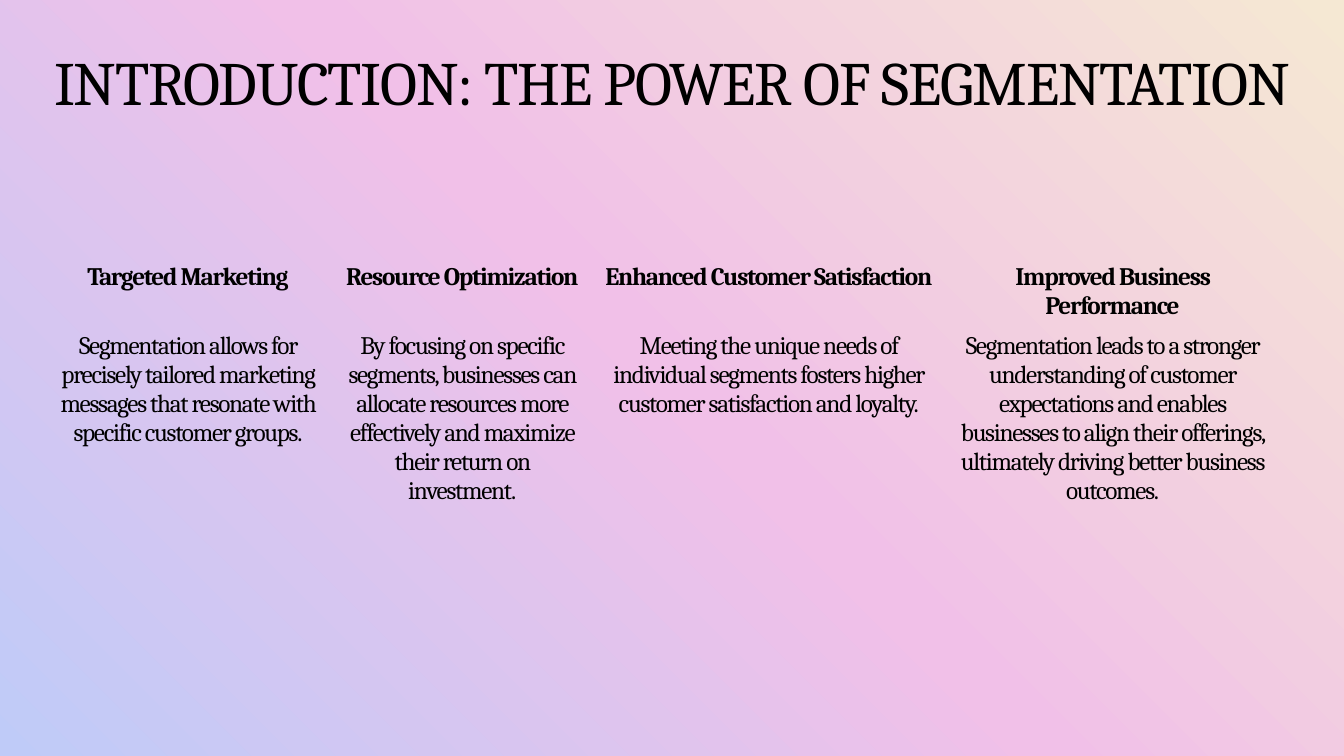
from copy import deepcopy

from pptx import Presentation
from pptx.dml.color import RGBColor
from pptx.enum.text import MSO_ANCHOR, MSO_AUTO_SIZE, PP_ALIGN
from pptx.oxml.ns import qn
from pptx.util import Inches, Pt

# Content
TITLE = "INTRODUCTION: THE POWER OF SEGMENTATION"
COLUMNS = [  # width, heading, text
    (2.81, "Targeted Marketing",
     "Segmentation allows for precisely tailored marketing messages that "
     "resonate with specific customer groups."),
    (2.63, "Resource Optimization",
     "By focusing on specific segments, businesses can allocate resources "
     "more effectively and maximize their return on investment."),
    (3.45, "Enhanced Customer Satisfaction",
     "Meeting the unique needs of individual segments fosters higher "
     "customer satisfaction and loyalty."),
    (3.37, "Improved Business Performance",
     "Segmentation leads to a stronger understanding of customer "
     "expectations and enables businesses to align their offerings, "
     "ultimately driving better business outcomes."),
]
ROWS = [0.65, 3.31]

# Style
FONT = "Cambria"
BLACK = RGBColor(0x00, 0x00, 0x00)
BLUE = RGBColor(0xBF, 0xCB, 0xF8)
PINK = RGBColor(0xF1, 0xC0, 0xE8)
CREAM = RGBColor(0xF5, 0xE8, 0xD3)
TRACK = -0.9  # letter spacing in points
NO_GRID = "{2D5ABB26-0587-4C30-8999-92F81FD0307C}"


def put_text(frame, text, size, bold=False):
    frame.text = text
    para = frame.paragraphs[0]
    para.alignment = PP_ALIGN.CENTER
    run = para.runs[0]
    font = run.font
    font.name, font.size, font.bold = FONT, Pt(size), bold
    font.color.rgb = BLACK
    run._r.get_or_add_rPr().set("spc", str(round(TRACK * 100)))
    return para


def paint_back(slide):
    fill = slide.background.fill
    fill.gradient()
    fill.gradient_angle = 45
    stops = slide._element.find(".//" + qn("a:gsLst"))
    stops.insert(1, deepcopy(stops[0]))
    for i, (stop, color) in enumerate(
            zip(fill.gradient_stops, (BLUE, PINK, CREAM))):
        stop.position = i / 2
        stop.color.rgb = color


def add_title(slide):
    title = slide.shapes.title
    title.left, title.top = Inches(0), Inches(0.4)
    title.width, title.height = Inches(13.33), Inches(0.77)
    frame = title.text_frame
    frame.margin_left = frame.margin_right = 0
    frame.margin_top = frame.margin_bottom = 0
    frame.word_wrap = False
    frame.auto_size = MSO_AUTO_SIZE.NONE
    frame.vertical_anchor = MSO_ANCHOR.TOP
    put_text(frame, TITLE, 44).line_spacing = Pt(55)


def add_grid(slide):
    width = sum(col[0] for col in COLUMNS)
    table = slide.shapes.add_table(
        len(ROWS), len(COLUMNS), Inches(0.46), Inches(2.56),
        Inches(width), Inches(sum(ROWS))).table
    table.first_row = table.horz_banding = False
    table._tbl.tblPr.find(qn("a:tableStyleId")).text = NO_GRID
    for row, height in zip(table.rows, ROWS):
        row.height = Inches(height)
    for c, (wide, *texts) in enumerate(COLUMNS):
        table.columns[c].width = Inches(wide)
        for r, text in enumerate(texts):
            cell = table.cell(r, c)
            cell.fill.background()
            put_text(cell.text_frame, text, 18, bold=r == 0)


def main():
    prs = Presentation()
    prs.slide_width, prs.slide_height = Inches(13.33), Inches(7.5)
    slide = prs.slides.add_slide(prs.slide_layouts[5])
    paint_back(slide)
    add_title(slide)
    add_grid(slide)
    prs.save("out.pptx")


if __name__ == "__main__":
    main()
